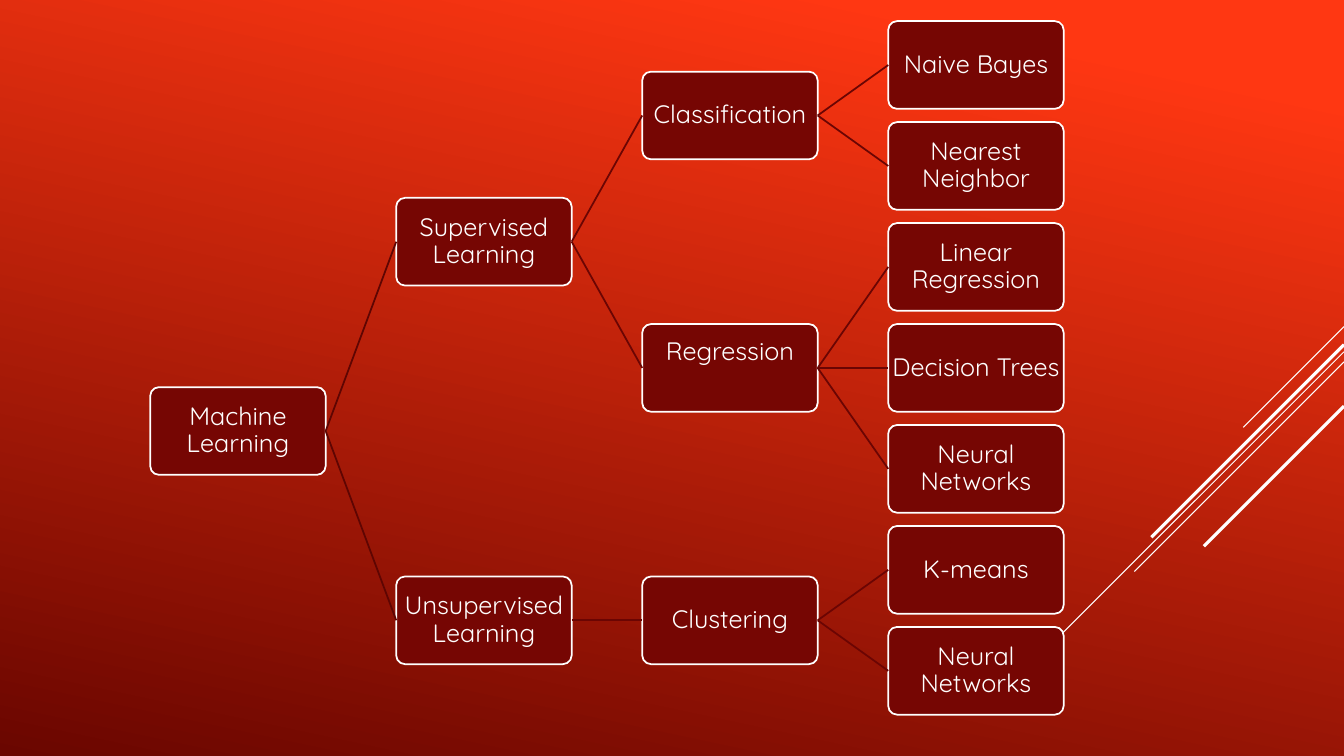
from dataclasses import dataclass

from lxml import etree
from pptx import Presentation
from pptx.dml.color import RGBColor
from pptx.enum import shapes, text
from pptx.oxml.ns import qn
from pptx.util import Inches, Pt


@dataclass(frozen=True)
class Theme:
    glow: str = "FF3712"
    ember: str = "6A0600"
    node: str = "760603"
    white: str = "FFFFFF"
    root_branch: str = "5E0502"
    branch: str = "6B0503"
    font: str = "Quicksand"
    label_size: int = 18
    outline: float = 1.25


SLIDE_WIDTH, SLIDE_HEIGHT = 13.33, 7.5
NODE_WIDTH, NODE_HEIGHT = 1.74, 0.87
FIRST_COLUMN, COLUMN_STEP = 1.49, 2.44
FIRST_LEAF, LAST_LEAF, LEAF_COUNT = 0.21, 6.22, 7
LEAF_STEP = (LAST_LEAF - FIRST_LEAF) / (LEAF_COUNT - 1)
INSET = 0.01
RIGHT_SIDE, LEFT_SIDE = 3, 1

# Each node is a label and its children.
TREE = ("Machine Learning", [
    ("Supervised Learning", [
        ("Classification", [("Naive Bayes", []), ("Nearest Neighbor", [])]),
        ("Regression", [("Linear Regression", []), ("Decision Trees", []),
                        ("Neural Networks", [])]),
    ]),
    ("Unsupervised Learning", [
        ("Clustering", [("K-means", []), ("Neural Networks", [])]),
    ]),
])
RAISED_LABELS = {"Regression": 0.3}

# Diagonal stripes at 45 degrees: top at the right edge, run, line width.
STRIPES = [(3.24, 1.0, 0.75), (3.49, 3.26, 0.75), (3.59, 2.08, 0.75),
           (3.42, 1.91, 2.25), (4.03, 1.39, 2.25)]


class TreeSlide:
    def __init__(self, deck, theme):
        self.theme = theme
        self.page = deck.slides.add_slide(deck.slide_layouts[6])
        self.next_leaf = 0

    def background(self):
        fill = self.page.background.fill
        fill.gradient()
        fill.gradient_angle = 258
        stops = [(0.1, self.theme.glow), (1, self.theme.ember)]
        for stop, (position, color) in zip(fill.gradient_stops, stops):
            stop.position = position
            stop.color.rgb = RGBColor.from_string(color)

    def line(self, start, end, color, width):
        connector = self.page.shapes.add_connector(
            shapes.MSO_CONNECTOR.STRAIGHT,
            *(Inches(length) for length in (*start, *end)))
        connector.line.color.rgb = RGBColor.from_string(color)
        connector.line.width = Pt(width)
        etree.SubElement(connector.element.spPr, qn("a:effectLst"))
        return connector

    def node(self, label, left, top):
        box = self.page.shapes.add_shape(
            shapes.MSO_SHAPE.ROUNDED_RECTANGLE, Inches(left), Inches(top),
            Inches(NODE_WIDTH), Inches(NODE_HEIGHT))
        box.adjustments[0] = 0.1
        box.shadow.inherit = False
        box.fill.solid()
        box.fill.fore_color.rgb = RGBColor.from_string(self.theme.node)
        box.line.color.rgb = RGBColor.from_string(self.theme.white)
        box.line.width = Pt(self.theme.outline)

        frame = box.text_frame
        frame_format = {
            "word_wrap": True,
            "vertical_anchor": text.MSO_ANCHOR.MIDDLE,
            "margin_left": Inches(INSET),
            "margin_right": Inches(INSET),
            "margin_top": Inches(INSET),
            "margin_bottom": Inches(INSET + RAISED_LABELS.get(label, 0)),
        }
        for name, value in frame_format.items():
            setattr(frame, name, value)
        para = frame.paragraphs[0]
        para.alignment = text.PP_ALIGN.CENTER
        para.line_spacing = 0.9
        span = para.add_run()
        span.text = label
        span.font.name = self.theme.font
        span.font.size = Pt(self.theme.label_size)
        span.font.color.rgb = RGBColor.from_string(self.theme.white)
        return box

    def tree(self, branch, depth=0):
        """Draw a branch, centring each parent on its children; return its box and top."""
        label, children = branch
        placed = [self.tree(child, depth + 1) for child in children]
        if placed:
            top = (placed[0][1] + placed[-1][1]) / 2
        else:
            top = FIRST_LEAF + self.next_leaf * LEAF_STEP
            self.next_leaf += 1
        left = FIRST_COLUMN + depth * COLUMN_STEP
        box = self.node(label, left, top)
        color = self.theme.branch if depth else self.theme.root_branch
        for child_box, child_top in placed:
            connector = self.line(
                (left + NODE_WIDTH, top + NODE_HEIGHT / 2),
                (left + COLUMN_STEP, child_top + NODE_HEIGHT / 2),
                color, self.theme.outline)
            connector.begin_connect(box, RIGHT_SIDE)
            connector.end_connect(child_box, LEFT_SIDE)
        return box, top


def main():
    deck = Presentation()
    deck.slide_width = Inches(SLIDE_WIDTH)
    deck.slide_height = Inches(SLIDE_HEIGHT)
    theme = Theme()
    slide = TreeSlide(deck, theme)
    slide.background()
    for top, run, width in STRIPES:
        slide.line((SLIDE_WIDTH, top), (SLIDE_WIDTH - run, top + run),
                   theme.white, width)
    slide.tree(TREE)
    deck.save("out.pptx")


if __name__ == "__main__":
    main()
